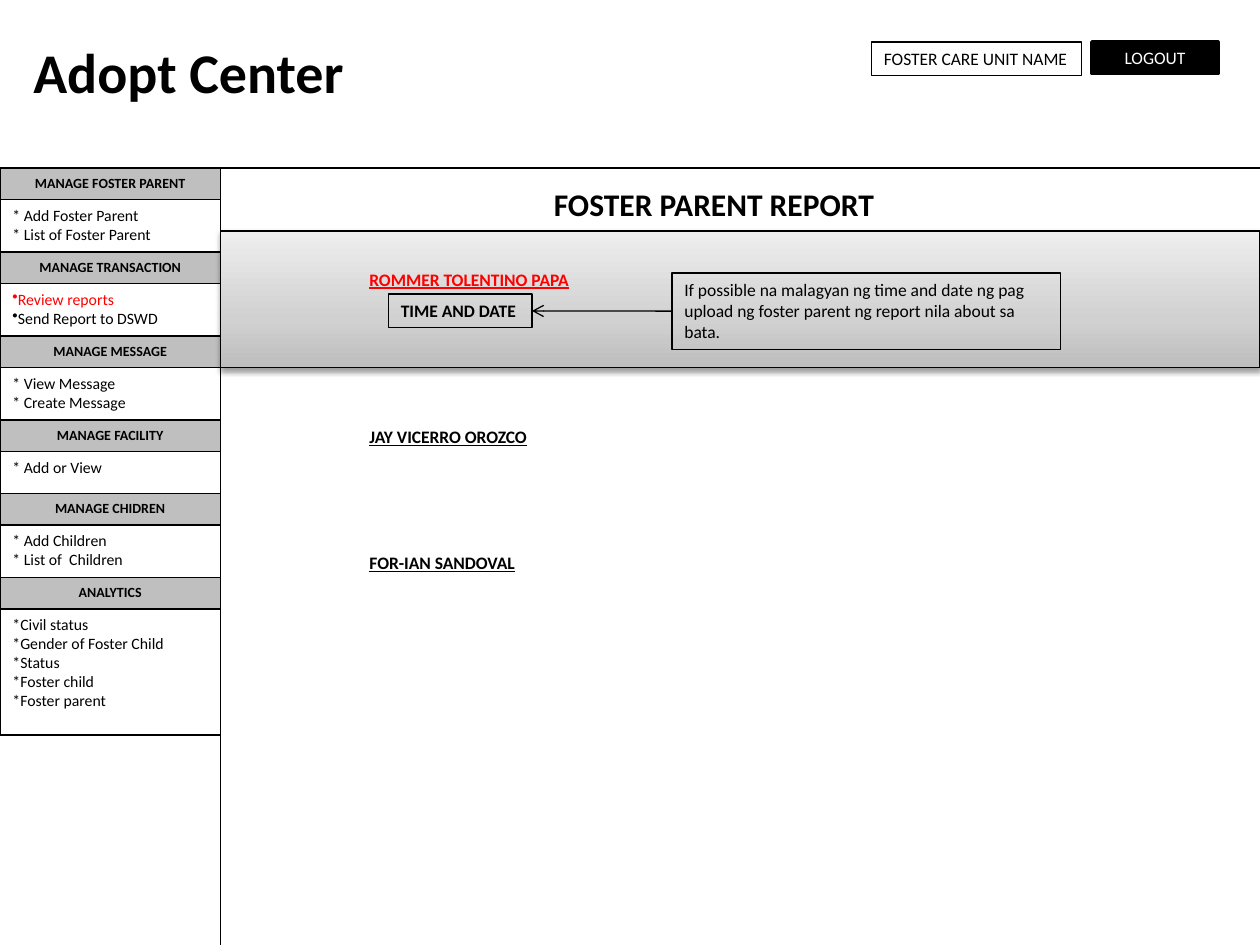
from dataclasses import dataclass

from lxml import etree
from pptx import Presentation
from pptx.dml.color import RGBColor
from pptx.enum.shapes import MSO_CONNECTOR, MSO_SHAPE
from pptx.enum.text import MSO_ANCHOR, MSO_AUTO_SIZE, PP_ALIGN
from pptx.oxml import parse_xml
from pptx.oxml.ns import nsdecls, qn
from pptx.shapes.autoshape import Shape
from pptx.shapes.connector import Connector
from pptx.util import Pt

BLACK = RGBColor(0x00, 0x00, 0x00)
WHITE = RGBColor(0xFF, 0xFF, 0xFF)
GRAY = RGBColor(0xBF, 0xBF, 0xBF)
RED = RGBColor(0xFF, 0x00, 0x00)
RECTANGLE = MSO_SHAPE.RECTANGLE
STRAIGHT = MSO_CONNECTOR.STRAIGHT
TOP, MIDDLE = MSO_ANCHOR.TOP, MSO_ANCHOR.MIDDLE
LEFT, CENTER = PP_ALIGN.LEFT, PP_ALIGN.CENTER
GROW, FIXED = MSO_AUTO_SIZE.SHAPE_TO_FIT_TEXT, MSO_AUTO_SIZE.NONE
LEFT_SIDE, RIGHT_SIDE = 1, 3

SLIDE_WIDTH, SLIDE_HEIGHT = 720, 540
SIDEBAR_WIDTH, SIDEBAR_TOP, HEADING_HEIGHT = 126, 96, 18
LINE_WIDTH = 0.75

BAND_GRADIENT = f"""<a:gradFill {nsdecls('a')} rotWithShape="1"><a:gsLst>
<a:gs pos="0"><a:srgbClr val="BDBDBD"/></a:gs>
<a:gs pos="35000"><a:srgbClr val="D1D1D1"/></a:gs>
<a:gs pos="100000"><a:srgbClr val="EEEEEE"/></a:gs>
</a:gsLst><a:lin ang="16200000" scaled="1"/></a:gradFill>"""
BAND_SHADOW = f"""<a:outerShdw {nsdecls('a')} blurRad="39400" dist="20300" dir="5400000"
rotWithShape="0"><a:srgbClr val="000000"><a:alpha val="38000"/></a:srgbClr></a:outerShdw>"""


@dataclass
class Box:
    left: float
    top: float
    width: float
    height: float


@dataclass
class Style:
    size: float
    bold: bool = False
    underline: bool = False
    color: RGBColor = BLACK
    align: PP_ALIGN = LEFT
    anchor: MSO_ANCHOR = TOP
    auto_size: MSO_AUTO_SIZE = FIXED
    wrap: bool = True


@dataclass
class MenuSection:
    heading: str
    items: list[str]
    height: float = 30
    bulleted: bool = False
    current: str = ""


@dataclass
class FosterParent:
    name: str
    top: float
    width: float
    color: RGBColor = BLACK


HEADING = Style(8, bold=True, align=CENTER)
MENU_ITEM = Style(9)
BUTTON = Style(10, color=WHITE, align=CENTER, anchor=MIDDLE)
FIELD = Style(10, auto_size=GROW)
TIMESTAMP = Style(10, bold=True, auto_size=GROW, wrap=False)
SITE_TITLE = Style(32, bold=True, auto_size=GROW)
PAGE_TITLE = Style(18, bold=True, align=CENTER, auto_size=GROW)

MENU = [
    MenuSection("MANAGE FOSTER PARENT", ["* Add Foster Parent", "* List of Foster Parent"]),
    MenuSection("MANAGE TRANSACTION", ["Review reports", "Send Report to DSWD"],
                bulleted=True, current="Review reports"),
    MenuSection("MANAGE MESSAGE", ["* View Message", "* Create Message"]),
    MenuSection("MANAGE FACILITY", ["* Add or View"], height=24),
    MenuSection("MANAGE CHIDREN", ["* Add Children", "* List of  Children"]),
    MenuSection("ANALYTICS", ["*Civil status", "*Gender of Foster Child", "*Status",
                              "*Foster child", "*Foster parent"], height=72),
]
FOSTER_PARENTS = [
    FosterParent("ROMMER TOLENTINO PAPA", 150, 131.8, RED),
    FosterParent("JAY VICERRO OROZCO", 240, 107.3),
    FosterParent("FOR-IAN SANDOVAL", 312, 99.4),
]


def apply_format(target: object, values: dict) -> None:
    for name, value in values.items():
        setattr(target, name, value)


def write(shape: Shape, lines: list[str], style: Style,
          bulleted: bool = False, current: str = "") -> None:
    frame = shape.text_frame
    frame.text = "\n".join(lines)
    apply_format(frame, {"word_wrap": style.wrap, "auto_size": style.auto_size,
                         "vertical_anchor": style.anchor})
    for paragraph in frame.paragraphs:
        if bulleted:
            bullet = etree.SubElement(paragraph._p.get_or_add_pPr(), qn("a:buChar"))
            bullet.set("char", "•")
        paragraph.alignment = style.align
        apply_format(paragraph.font, {"name": "Calibri", "size": Pt(style.size),
                                      "bold": style.bold, "underline": style.underline})
        paragraph.font.color.rgb = RED if paragraph.text == current else style.color


def add_rectangle(shapes, box: Box, fill: RGBColor | None = None,
                  line_width: float = LINE_WIDTH) -> Shape:
    rectangle = shapes.add_shape(RECTANGLE, Pt(box.left), Pt(box.top),
                                 Pt(box.width), Pt(box.height))
    rectangle.shadow.inherit = False
    if fill is None:
        rectangle.fill.background()
    else:
        rectangle.fill.solid()
        rectangle.fill.fore_color.rgb = fill
    rectangle.line.color.rgb = BLACK
    rectangle.line.width = Pt(line_width)
    return rectangle


def add_label(shapes, box: Box, text: str, style: Style) -> None:
    label = shapes.add_textbox(Pt(box.left), Pt(box.top), Pt(box.width), Pt(box.height))
    write(label, [text], style)


def add_line(shapes, start: tuple[float, float], end: tuple[float, float]) -> Connector:
    line = shapes.add_connector(STRAIGHT, *map(Pt, start + end))
    line.line.color.rgb = BLACK
    line.line.width = Pt(LINE_WIDTH)
    etree.SubElement(line._element.spPr, qn("a:effectLst"))
    return line


def add_menu(shapes) -> None:
    top = SIDEBAR_TOP
    for section in MENU:
        heading = add_rectangle(shapes, Box(0, top, SIDEBAR_WIDTH, HEADING_HEIGHT), GRAY)
        write(heading, [section.heading], HEADING)
        top += HEADING_HEIGHT
        panel = add_rectangle(shapes, Box(0, top, SIDEBAR_WIDTH, section.height), WHITE)
        write(panel, section.items, MENU_ITEM, section.bulleted, section.current)
        top += section.height


def add_band(shapes) -> None:
    band = add_rectangle(shapes, Box(SIDEBAR_WIDTH, 132, SLIDE_WIDTH - SIDEBAR_WIDTH, 78))
    properties = band._element.spPr
    properties.replace(properties.find(qn("a:noFill")), parse_xml(BAND_GRADIENT))
    properties.find(qn("a:effectLst")).append(parse_xml(BAND_SHADOW))


def add_upload_note(shapes) -> None:
    timestamp = add_rectangle(shapes, Box(222, 168, 82, 19.4))
    write(timestamp, ["TIME AND DATE"], TIMESTAMP)
    note = add_rectangle(shapes, Box(384, 156, 222, 43.6))
    write(note, ["If possible na malagyan ng time and date ng pag upload ng foster "
                 "parent ng report nila about sa bata."], FIELD)
    arrow = add_line(shapes, (384, 177.8), (304, 177.8))
    arrow.begin_connect(note, LEFT_SIDE)
    arrow.end_connect(timestamp, RIGHT_SIDE)
    etree.SubElement(arrow.line._get_or_add_ln(), qn("a:tailEnd")).set("type", "arrow")


def main() -> None:
    presentation = Presentation()
    presentation.slide_width = Pt(SLIDE_WIDTH)
    presentation.slide_height = Pt(SLIDE_HEIGHT)
    shapes = presentation.slides.add_slide(presentation.slide_layouts[6]).shapes

    add_line(shapes, (SIDEBAR_WIDTH, SIDEBAR_TOP), (SIDEBAR_WIDTH, SLIDE_HEIGHT))
    add_line(shapes, (0, SIDEBAR_TOP), (SLIDE_WIDTH, SIDEBAR_TOP))
    add_label(shapes, Box(12, 18, 318, 46), "Adopt Center", SITE_TITLE)
    logout = add_rectangle(shapes, Box(624, 24, 72, 18), BLACK, line_width=2)
    write(logout, ["LOGOUT"], BUTTON)
    unit_name = add_rectangle(shapes, Box(498, 24, 120, 19.4))
    write(unit_name, ["FOSTER CARE UNIT NAME"], FIELD)

    add_menu(shapes)
    add_label(shapes, Box(276, 102, 264, 29.1), "FOSTER PARENT REPORT", PAGE_TITLE)
    add_band(shapes)
    for parent in FOSTER_PARENTS:
        name_style = Style(10, bold=True, underline=True, color=parent.color,
                           auto_size=GROW, wrap=False)
        add_label(shapes, Box(204, parent.top, parent.width, 19.4), parent.name, name_style)
    add_upload_note(shapes)

    presentation.save("out.pptx")


if __name__ == "__main__":
    main()
